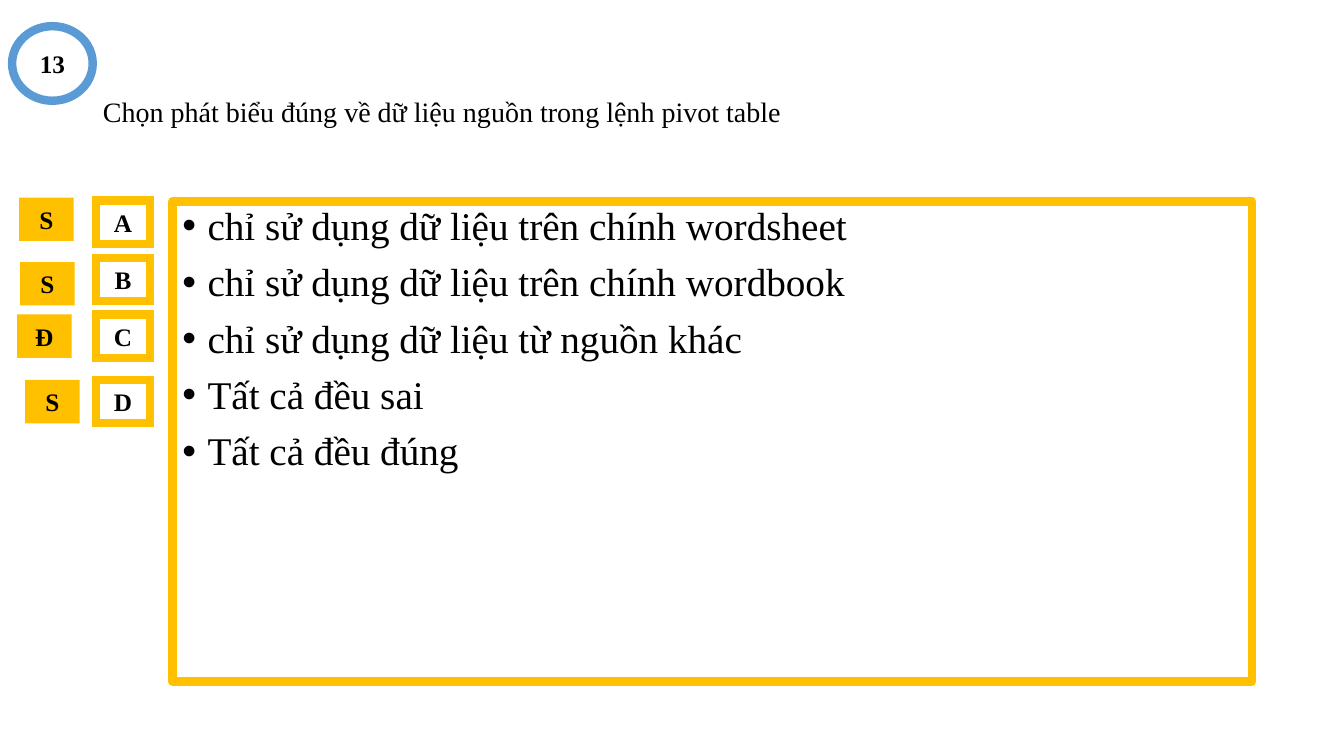
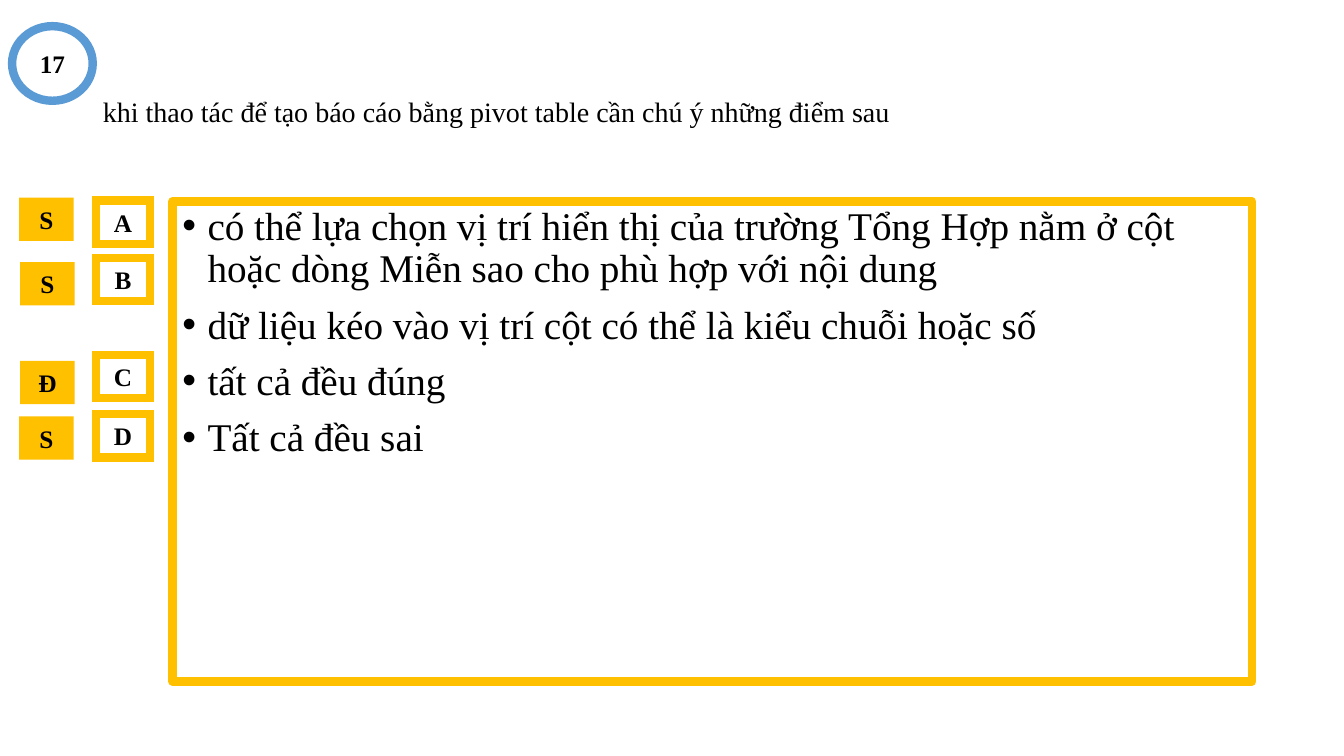
from lxml.etree import SubElement
from pptx import Presentation
from pptx.dml.color import RGBColor
from pptx.enum.shapes import MSO_SHAPE as Shape
from pptx.enum.text import MSO_ANCHOR as Anchor, MSO_AUTO_SIZE as AutoSize, PP_ALIGN as Align
from pptx.oxml.ns import qn
from pptx.util import Inches, Pt

FONT = "Times New Roman"
BLACK, WHITE, GOLD, BLUE = "000000", "FFFFFF", "FFC000", "5B9BD5"
BORDER_WIDTH = 6
PANEL_OPACITY, LETTER_OPACITY = 79, 85
BOX_SIZE = (0.54, 0.43)
LETTER_LEFT = 0.95

# Each option: letter, top of its box, verdict, left and top of the verdict
QUESTIONS = [
    {
        "number": "13",
        "title": "Chọn phát biểu đúng về dữ liệu nguồn trong lệnh pivot table",
        "answers": [
            "chỉ sử dụng dữ liệu trên chính wordsheet",
            "chỉ sử dụng dữ liệu trên chính wordbook",
            "chỉ sử dụng dữ liệu từ nguồn khác",
            "Tất cả đều sai",
            "Tất cả đều đúng",
        ],
        "options": [
            ("A", 1.99, "S", 0.19, 1.96),
            ("B", 2.56, "S", 0.2, 2.6),
            ("C", 3.12, "Đ", 0.17, 3.12),
            ("D", 3.77, "S", 0.25, 3.77),
        ],
    },
    {
        "number": "17",
        "title": "khi thao tác để tạo báo cáo bằng pivot table cần chú ý những điểm sau",
        "answers": [
            "có thể lựa chọn vị trí hiển thị của trường Tổng Hợp nằm ở cột "
            "hoặc dòng Miễn sao cho phù hợp với nội dung",
            "dữ liệu kéo vào vị trí cột có thể là kiểu chuỗi hoặc số",
            "tất cả đều đúng",
            "Tất cả đều sai",
        ],
        "options": [
            ("A", 1.99, "S", 0.19, 1.96),
            ("B", 2.56, "S", 0.2, 2.6),
            ("C", 3.52, "Đ", 0.2, 3.58),
            ("D", 4.11, "S", 0.19, 4.13),
        ],
    },
]


def color(hex_string):
    return RGBColor.from_string(hex_string)


def set_fill(shape, hex_string, opacity=100):
    shape.fill.solid()
    shape.fill.fore_color.rgb = color(hex_string)
    if opacity < 100:
        fill_color = shape.fill._xPr.find(qn("a:solidFill"))[0]
        SubElement(fill_color, qn("a:alpha"), val=str(opacity * 1000))


def set_border(shape, hex_string, join):
    """Draw the outline with a "round" or "miter" join, or none without a colour."""
    if hex_string is None:
        shape.line.fill.background()
        return
    shape.line.width = Pt(BORDER_WIDTH)
    shape.line.color.rgb = color(hex_string)
    SubElement(shape.line._get_or_add_ln(), qn(f"a:{join}"))


def add_bullet(paragraph, indent=0.25):
    properties = paragraph._p.get_or_add_pPr()
    properties.set("marL", str(Inches(indent)))
    properties.set("indent", str(Inches(-indent)))
    SubElement(properties, qn("a:buFont"), typeface="Arial")
    SubElement(properties, qn("a:buChar"), char="•")


def write_text(shape, *lines, size=18, bold=False, align=Align.LEFT, anchor=Anchor.MIDDLE,
               line_spacing=None, space_before=None, bullets=False):
    frame = shape.text_frame
    frame.word_wrap = True
    frame.auto_size = AutoSize.NONE
    frame.vertical_anchor = anchor
    for index, line in enumerate(lines):
        paragraph = frame.add_paragraph() if index else frame.paragraphs[0]
        paragraph.alignment = align
        paragraph.line_spacing = line_spacing
        paragraph.space_before = space_before
        if bullets:
            add_bullet(paragraph)
        run = paragraph.add_run()
        run.text = line
        run.font.name = FONT
        run.font.size = Pt(size)
        run.font.bold = bold
        run.font.color.rgb = color(BLACK)


def add_box(slide, kind, left, top, width, height, fill, opacity=100, border=None, join="miter"):
    shape = slide.shapes.add_shape(kind, Inches(left), Inches(top), Inches(width), Inches(height))
    shape.shadow.inherit = False
    set_fill(shape, fill, opacity)
    set_border(shape, border, join)
    return shape


def add_label(slide, text, left, top, size=BOX_SIZE, kind=Shape.RECTANGLE, **style):
    """Add a small shape with a bold, centred text."""
    shape = add_box(slide, kind, left, top, *size, **style)
    write_text(shape, text, bold=True, align=Align.CENTER)


def set_title(slide, text):
    title = slide.shapes.title
    title.left, title.top = Inches(0.92), Inches(0.4)
    title.width, title.height = Inches(11.5), Inches(1.45)
    set_fill(title, WHITE, PANEL_OPACITY)
    write_text(title, text, size=20, line_spacing=0.9)


def add_answer_panel(slide, answers):
    panel = add_box(slide, Shape.RECTANGLE, 1.71, 2, 10.71, 4.76, fill=WHITE,
                    opacity=PANEL_OPACITY, border=GOLD, join="round")
    write_text(panel, *answers, size=28, anchor=Anchor.TOP, line_spacing=0.9,
               space_before=Pt(10), bullets=True)


def add_question_slide(presentation, number, title, answers, options):
    slide = presentation.slides.add_slide(presentation.slide_layouts.get_by_name("Title Only"))
    set_title(slide, title)
    add_answer_panel(slide, answers)
    add_label(slide, number, 0.12, 0.26, size=(0.8, 0.74), kind=Shape.OVAL,
              fill=WHITE, border=BLUE)
    for letter, letter_top, verdict, verdict_left, verdict_top in options:
        add_label(slide, letter, LETTER_LEFT, letter_top, fill=WHITE,
                  opacity=LETTER_OPACITY, border=GOLD)
        add_label(slide, verdict, verdict_left, verdict_top, fill=GOLD)


def main():
    presentation = Presentation()
    presentation.slide_width, presentation.slide_height = Inches(13.33), Inches(7.5)
    for question in QUESTIONS:
        add_question_slide(presentation, **question)
    presentation.save("out.pptx")


if __name__ == "__main__":
    main()
